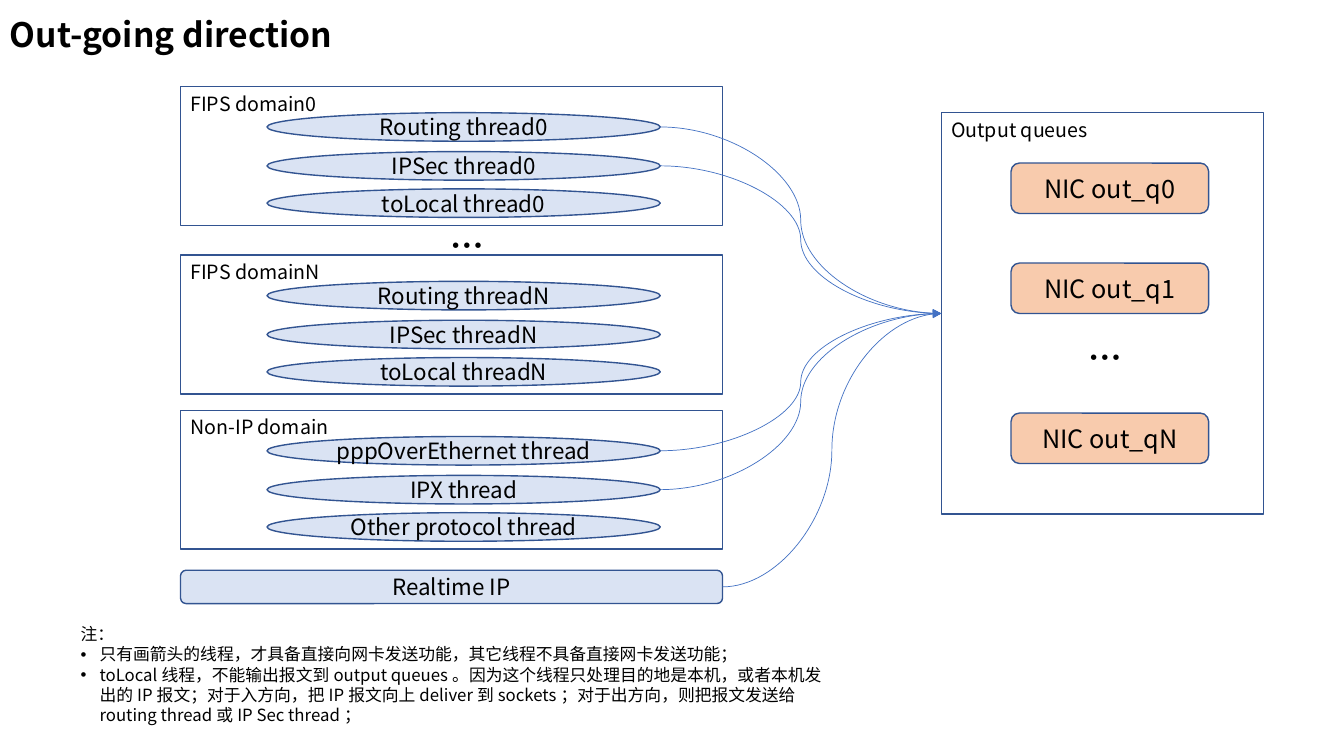
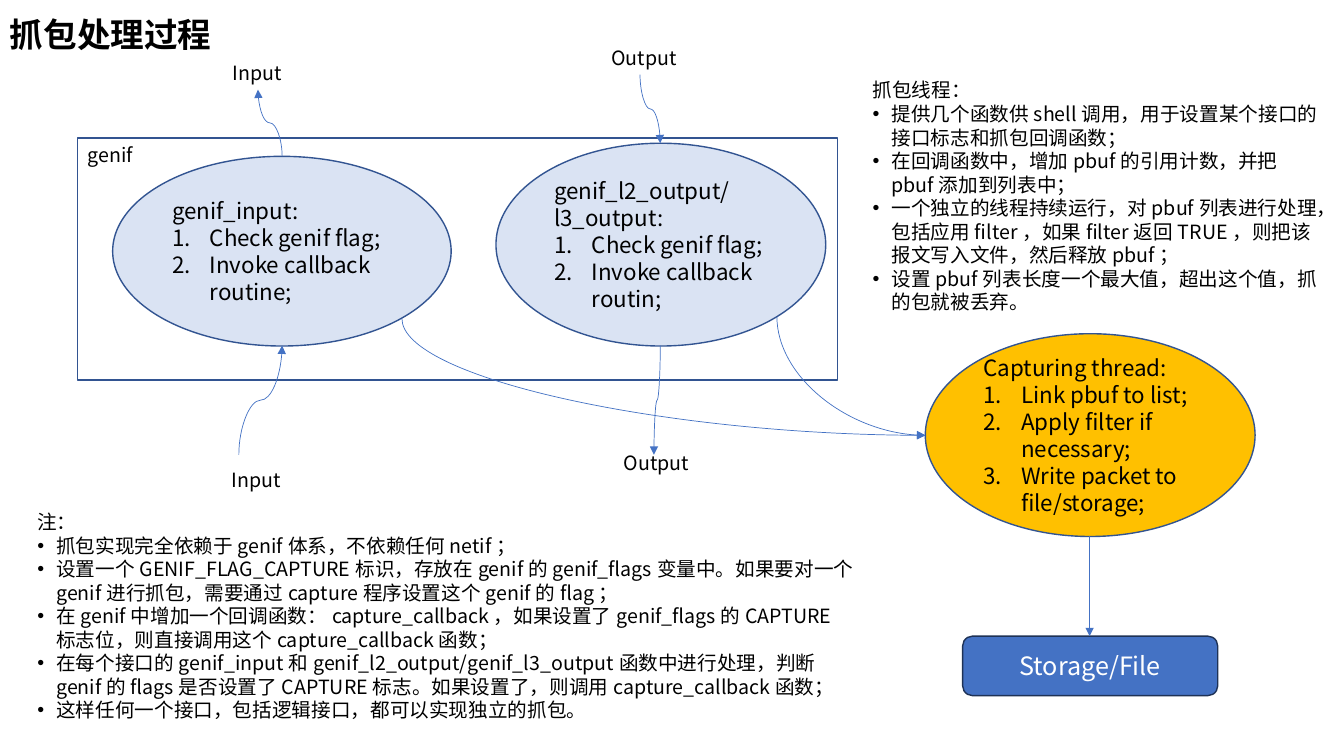
"""Build two slides on packet sending and packet capture."""
from lxml import etree
from pptx import Presentation
from pptx import util as u
from pptx.dml.color import RGBColor
from pptx.enum import shapes, text
from pptx.oxml.ns import qn

FONT = "Noto Sans CJK SC"
BLACK, WHITE, BLUE, PALE = "000000", "FFFFFF", "4472C4", "DAE3F3"
EDGE, DARK, PEACH, GOLD = "325491", "1E3256", "F8CBAD", "FFC000"
RECT = shapes.MSO_SHAPE.RECTANGLE
OVAL = shapes.MSO_SHAPE.OVAL
ROUND = shapes.MSO_SHAPE.ROUNDED_RECTANGLE
LEFT, MID = text.PP_ALIGN.LEFT, text.PP_ALIGN.CENTER
TOP, HALF = text.MSO_ANCHOR.TOP, text.MSO_ANCHOR.MIDDLE

FRAME = {"size": 14, "align": LEFT, "anchor": TOP}
STEPS = {"fill": PALE, "align": LEFT, "mark": "num"}
QUEUE = {"fill": PEACH, "size": 18}
STORE = {"fill": BLUE, "edge": DARK, "size": 18, "color": WHITE}
HEAD = {"size": 24, "bold": True}
LISTS = {
    "dot": (u.Cm(0.48), [("buFont", {"typeface": "Arial"}), ("buChar", {"char": "•"})]),
    "num": (u.Cm(0.95), [("buFont", {"typeface": "+mj-lt"}),
                         ("buAutoNum", {"type": "arabicPeriod"})]),
}

DOMAINS = [
    ("FIPS domain0", 2.18, ["Routing thread0", "IPSec thread0", "toLocal thread0"]),
    ("FIPS domainN", 6.43, ["Routing threadN", "IPSec threadN", "toLocal threadN"]),
    ("Non-IP domain", 10.34,
     ["pppOverEthernet thread", "IPX thread", "Other protocol thread"]),
]
SENDERS = {"Routing thread0", "IPSec thread0", "pppOverEthernet thread", "IPX thread"}
DROPS = [0.66, 1.64, 2.58]
QUEUES = [("NIC out_q0", 4.11), ("NIC out_q1", 6.63), ("NIC out_qN", 10.41)]
DOTS = [(11.1, 5.54, 2.06, 1.09), (27.18, 8.36, 2.06, 1.27)]
SEND = [
    "注：",
    "只有画箭头的线程，才具备直接向网卡发送功能，其它线程不具备直接网卡发送功能；",
    "toLocal线程，不能输出报文到output queues。因为这个线程只处理目的地是本机，或者本机发出的IP报文；"
    "对于入方向，把IP报文向上deliver到sockets；对于出方向，则把报文发送给routing thread或IP Sec thread；",
]

BUBBLES = [
    ((2.84, 3.94, 8.53, 4.78), PALE,
     ["genif_input:", "Check genif flag;", "Invoke callback routine;"]),
    ((12.5, 3.61, 8.31, 5.11), PALE,
     ["genif_l2_output/l3_output:", "Check genif flag;", "Invoke callback routin;"]),
    ((23.32, 8.41, 8.31, 5.11), GOLD,
     ["Capturing thread:", "Link pbuf to list;", "Apply filter if necessary;",
      "Write packet to file/storage;"]),
]
PORTS = [("Output", 15.16, 1.02), ("Input", 5.61, 1.42),
         ("Input", 5.59, 11.66), ("Output", 15.47, 11.25)]
FLOWS = [
    ((6.02, 11.46), (7.11, 8.71)),
    ((7.11, 3.94), (6.5, 2.26)),
    ((16.13, 1.88), (16.64, 3.61)),
    ((16.64, 8.71), (16.48, 11.46)),
    ((27.46, 13.51), (27.46, 16.03)),
]
CALLS = [((19.58, 7.98), (23.32, 10.97)), ((10.13, 8.03), (23.32, 10.97))]
NOTES = [
    ((0.69, 12.73, 21.08, 5.64), [
        "注：",
        "抓包实现完全依赖于genif体系，不依赖任何netif；",
        "设置一个GENIF_FLAG_CAPTURE标识，存放在genif的genif_flags变量中。"
        "如果要对一个genif进行抓包，需要通过capture程序设置这个genif的flag；",
        "在genif中增加一个回调函数：capture_callback，如果设置了genif_flags的CAPTURE标志位，"
        "则直接调用这个capture_callback函数；",
        "在每个接口的genif_input和genif_l2_output/genif_l3_output函数中进行处理，"
        "判断genif的flags是否设置了CAPTURE标志。如果设置了，则调用capture_callback函数；",
        "这样任何一个接口，包括逻辑接口，都可以实现独立的抓包。",
    ]),
    ((21.74, 1.85, 11.76, 6.25), [
        "抓包线程：",
        "提供几个函数供shell调用，用于设置某个接口的接口标志和抓包回调函数；",
        "在回调函数中，增加pbuf的引用计数，并把pbuf添加到列表中；",
        "一个独立的线程持续运行，对pbuf列表进行处理，包括应用filter，如果filter返回TRUE，"
        "则把该报文写入文件，然后释放pbuf；",
        "设置pbuf列表长度一个最大值，超出这个值，抓的包就被丢弃。",
    ]),
]


def rgb(code):
    """Turn a hex string into a colour."""
    return RGBColor.from_string(code)


def put(obj, **vals):
    """Set several attributes on one object."""
    for key, val in vals.items():
        setattr(obj, key, val)


def add(node, tag, **vals):
    """Append a drawing element to a node."""
    return etree.SubElement(node, qn("a:" + tag), vals)


def write(frame, lines, size=16, color=BLACK, bold=False, align=LEFT, anchor=TOP, mark=None):
    """Fill a frame; lines after the first take the list mark."""
    put(frame, word_wrap=True, vertical_anchor=anchor)
    for i, line in enumerate(lines):
        para = frame.add_paragraph() if i else frame.paragraphs[0]
        put(para, alignment=align, line_spacing=u.Pt(round(size * 1.2, 1)))
        run = para.add_run()
        run.text = line
        put(run.font, name=FONT, size=u.Pt(size), bold=bold)
        run.font.color.rgb = rgb(color)
        add(run.font._element, "ea", typeface=FONT)
        if mark and i:
            props = para._p.get_or_add_pPr()
            indent, tags = LISTS[mark]
            props.set("marL", str(indent))
            props.set("indent", str(-indent))
            for tag, vals in tags:
                add(props, tag, **vals)


def label(slide, area, lines, **style):
    """Add a text box."""
    box = slide.shapes.add_textbox(*map(u.Cm, area))
    write(box.text_frame, lines, **style)
    box.text_frame.auto_size = text.MSO_AUTO_SIZE.SHAPE_TO_FIT_TEXT


def block(slide, kind, area, lines, fill=None, edge=EDGE, align=MID, anchor=HALF, **style):
    """Add an outlined shape with text."""
    shape = slide.shapes.add_shape(kind, *map(u.Cm, area))
    shape.shadow.inherit = False
    if fill:
        shape.fill.solid()
        shape.fill.fore_color.rgb = rgb(fill)
    else:
        shape.fill.background()
    shape.line.color.rgb = rgb(edge)
    shape.line.width = u.Pt(1)
    write(shape.text_frame, lines, align=align, anchor=anchor, **style)


def curve(slide, start, end, upright=False, bend="curvedConnector3"):
    """Add a curved arrow; an upright one leaves its start vertically."""
    (x1, y1), (x2, y2) = start, end
    turn = 0
    if upright:
        dx, dy = x2 - x1, y2 - y1
        turn = -1 if dx * dy > 0 else 1
        mx, my = (x1 + x2) / 2, (y1 + y2) / 2
        wide, high = turn * dy / 2, -turn * dx / 2
        x1, y1, x2, y2 = mx - wide, my - high, mx + wide, my + high
    line = slide.shapes.add_connector(
        shapes.MSO_CONNECTOR.CURVE, *map(u.Cm, (x1, y1, x2, y2)))
    line.line.color.rgb = rgb(BLUE)
    line.line.width = u.Pt(0.5)
    props = line._element.spPr
    add(props.find(qn("a:ln")), "tailEnd", type="triangle")
    add(props, "effectLst")
    props.find(qn("a:prstGeom")).set("prst", bend)
    if turn:
        props.find(qn("a:xfrm")).set("rot", str(turn * 90 % 360 * 60000))


def page(deck, title):
    """Add a blank slide with its title."""
    slide = deck.slides.add_slide(deck.slide_layouts[6])
    label(slide, (0, 0.23, 27.18, 1.27), [title], **HEAD)
    return slide


def sending(deck):
    """Build the slide on the sending direction."""
    slide = page(deck, "Out-going direction")
    goal = (23.72, 7.9)
    starts = [(18.21, 14.79)]
    for name, top, threads in DOMAINS:
        block(slide, RECT, (4.55, top, 13.66, 3.5), [name], **FRAME)
        for drop, thread in zip(DROPS, threads):
            y = top + drop
            block(slide, OVAL, (6.73, y, 9.91, 0.72), [thread], fill=PALE)
            if thread in SENDERS:
                starts.append((16.64, y + 0.36))
    block(slide, ROUND, (4.55, 14.37, 13.66, 0.84), ["Realtime IP"], fill=PALE)
    block(slide, RECT, (23.72, 2.84, 8.13, 10.11), ["Output queues"], **FRAME)
    for name, top in QUEUES:
        block(slide, ROUND, (25.48, top, 4.98, 1.27), [name], **QUEUE)
    for area in DOTS:
        label(slide, area, ["…"], **HEAD)
    for start in starts:
        curve(slide, start, goal)
    label(slide, (1.78, 15.6, 19.43, 2.82), SEND, size=12, mark="dot")


def capture(deck):
    """Build the slide on packet capture."""
    slide = page(deck, "抓包处理过程")
    block(slide, RECT, (1.96, 3.48, 19.15, 6.1), ["genif"], **FRAME)
    for area, fill, lines in BUBBLES:
        block(slide, OVAL, area, lines, **{**STEPS, "fill": fill})
    block(slide, ROUND, (24.26, 16.03, 6.43, 1.5), ["Storage/File"], **STORE)
    for name, x, y in PORTS:
        label(slide, (x, y, 2.41, 0.86), [name], size=14)
    for start, end in FLOWS:
        curve(slide, start, end, upright=True)
    for start, end in CALLS:
        curve(slide, start, end, upright=True, bend="curvedConnector2")
    for area, lines in NOTES:
        label(slide, area, lines, size=14, mark="dot")


def main():
    """Build and save the deck."""
    deck = Presentation()
    put(deck, slide_width=u.Cm(33.87), slide_height=u.Cm(19.05))
    sending(deck)
    capture(deck)
    deck.save("out.pptx")


if __name__ == "__main__":
    main()
